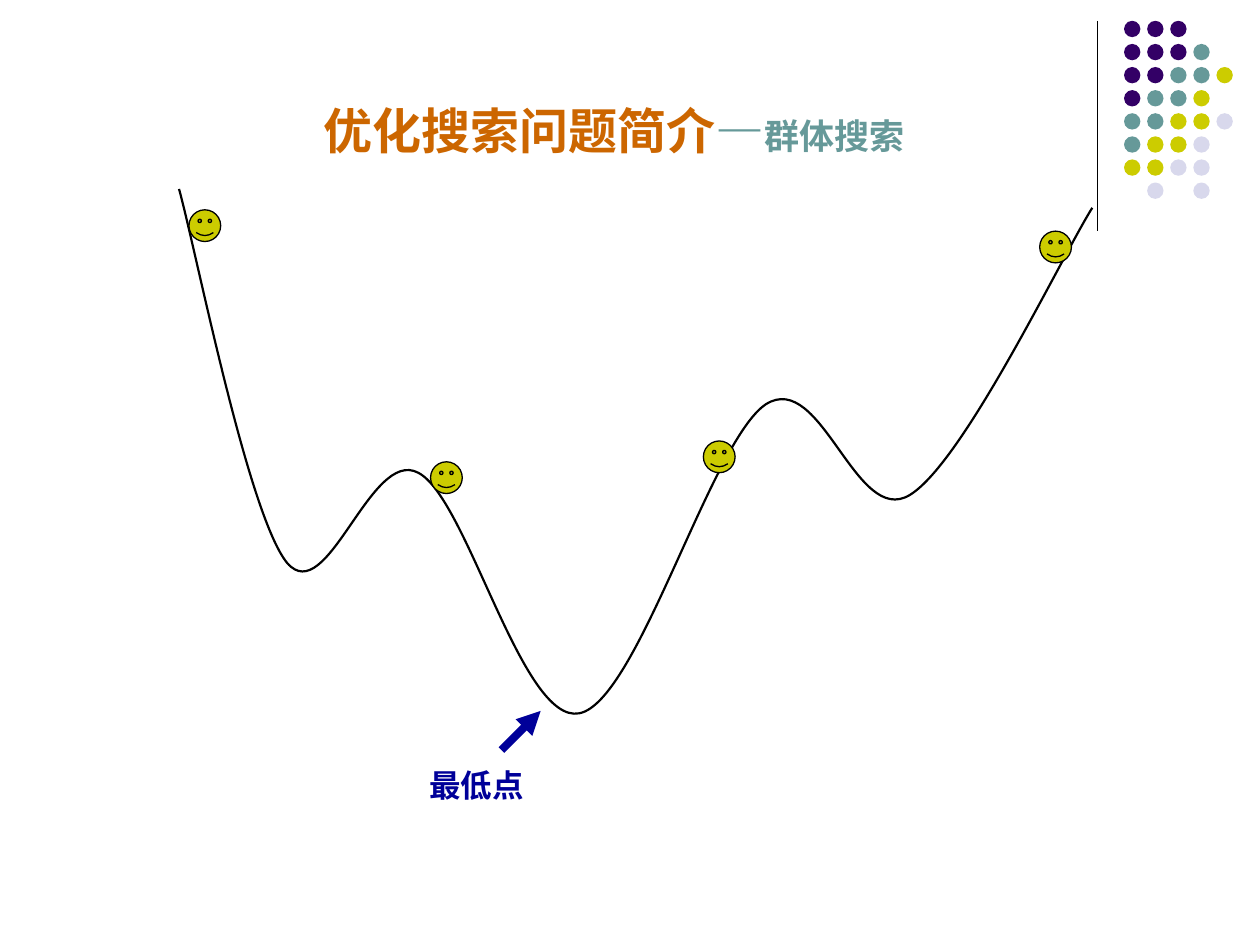
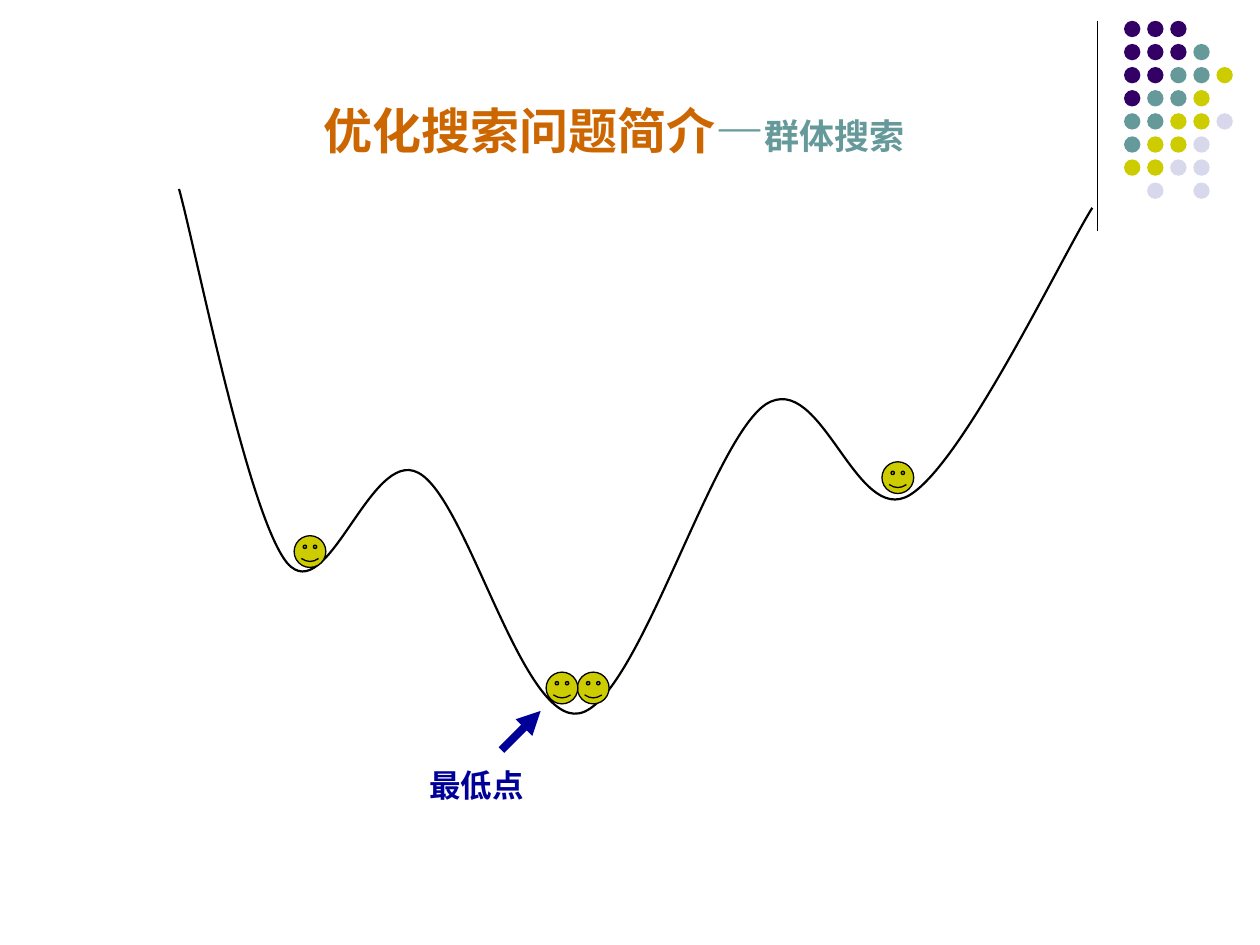
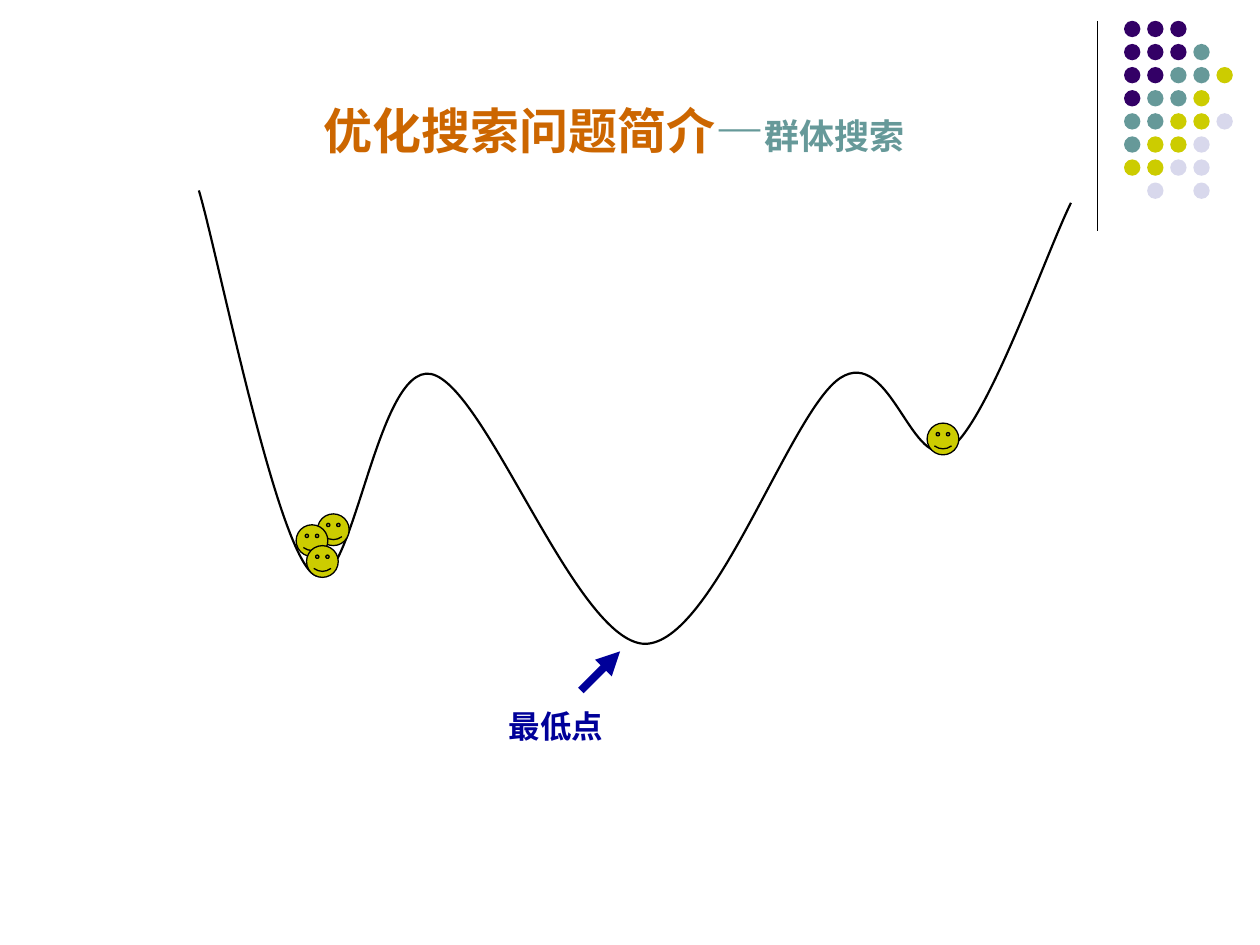
from dataclasses import dataclass

from lxml.etree import SubElement
from pptx import Presentation
from pptx.dml.color import RGBColor
from pptx.enum.shapes import MSO_CONNECTOR, MSO_SHAPE
from pptx.enum.text import MSO_AUTO_SIZE, PP_ALIGN
from pptx.oxml.ns import qn
from pptx.util import Cm, Pt


@dataclass(frozen=True)
class Theme:
    ink: str = "000000"
    title: str = "CC6600"
    teal: str = "669999"
    purple: str = "330066"
    yellow: str = "CCCC00"
    lavender: str = "D8D8EC"
    marker: str = "000099"
    title_font: str = "Times New Roman"
    label_font: str = "Arial"
    title_size: int = 28
    subtitle_size: int = 20
    label_size: int = 18
    thin_line: float = 0.75
    curve_line: float = 1.25
    arrow_line: float = 4.5


THEME = Theme()

DOT_ROWS = ["PPP", "PPPT", "PPTTY", "PTTY", "TTYYL", "TYYL", "YYLL", " L L"]
DOT_COLORS = {"P": THEME.purple, "T": THEME.teal, "Y": THEME.yellow, "L": THEME.lavender}
DOT_LEFT, DOT_TOP, DOT_SIZE = 22.66, 0.42, 0.33
DOT_PITCH = 3.26 / (len(DOT_ROWS) - 1)

FACE_SIZE = 0.64

# Each curve: a start point, then two control points and an end point per segment (cm).
DEEP_VALLEY = [
    (3.61, 3.81),
    (3.96, 5.08), (5, 10.39), (5.79, 11.35),
    (6.6, 12.29), (7.47, 9.02), (8.43, 9.53),
    (9.42, 10.03), (10.52, 14.61), (11.68, 14.38),
    (12.85, 14.15), (14.33, 8.89), (15.44, 8.15),
    (16.56, 7.44), (17.25, 10.64), (18.34, 9.98),
    (19.43, 9.32), (21.41, 5.16), (22.02, 4.19),
]
WIDE_VALLEY = [
    (4.01, 3.84),
    (4.39, 5.11), (5.54, 10.95), (6.3, 11.56),
    (7.09, 12.19), (7.57, 7.32), (8.69, 7.54),
    (9.8, 7.77), (11.61, 12.95), (13, 12.98),
    (14.38, 12.98), (15.93, 8.28), (16.94, 7.62),
    (17.96, 6.96), (18.39, 9.6), (19.18, 9.02),
    (19.94, 8.43), (21.08, 5.13), (21.59, 4.09),
]

# Curve, tip of the arrow at the lowest point, top left corners of the searchers.
SEARCH_STAGES = [
    (DEEP_VALLEY, (10.9, 14.33),
     [(20.96, 4.66), (14.18, 8.89), (3.81, 4.23), (8.68, 9.31)]),
    (DEEP_VALLEY, (10.9, 14.33),
     [(17.78, 9.31), (11.64, 13.55), (5.93, 10.8), (11.01, 13.55)]),
    (WIDE_VALLEY, (12.5, 13.13),
     [(18.69, 8.53), (6.4, 10.36), (5.97, 10.58), (6.18, 11)]),
]


def set_attributes(target, values):
    for name, value in values.items():
        setattr(target, name, value)


def set_line(line, color, width):
    line.color.rgb = RGBColor.from_string(color)
    line.width = Pt(width)


def add_filled_shape(shapes, kind, left, top, size, color):
    shape = shapes.add_shape(kind, Cm(left), Cm(top), Cm(size), Cm(size))
    shape.shadow.inherit = False
    shape.fill.solid()
    shape.fill.fore_color.rgb = RGBColor.from_string(color)
    return shape


def add_line(slide, start, end, color, width):
    points = [Cm(value) for value in (*start, *end)]
    connector = slide.shapes.add_connector(MSO_CONNECTOR.STRAIGHT, *points)
    set_line(connector.line, color, width)
    SubElement(connector._element.spPr, qn("a:effectLst"))
    return connector


def add_text(slide, left, top, width, height, runs):
    """Add a centred line of text; runs are (text, font, size, color)."""
    box = slide.shapes.add_textbox(Cm(left), Cm(top), Cm(width), Cm(height))
    set_attributes(box.text_frame, {
        "word_wrap": True,
        "auto_size": MSO_AUTO_SIZE.SHAPE_TO_FIT_TEXT,
    })
    paragraph = box.text_frame.paragraphs[0]
    paragraph.alignment = PP_ALIGN.CENTER
    for text, font, size, color in runs:
        run = paragraph.add_run()
        run.text = text
        set_attributes(run.font, {"name": font, "size": Pt(size), "bold": True})
        run.font.color.rgb = RGBColor.from_string(color)


def add_corner_dots(slide):
    group = slide.shapes.add_group_shape()
    for row, codes in enumerate(DOT_ROWS):
        for column, code in enumerate(codes):
            if code in DOT_COLORS:
                dot = add_filled_shape(
                    group.shapes, MSO_SHAPE.OVAL,
                    DOT_LEFT + column * DOT_PITCH, DOT_TOP + row * DOT_PITCH,
                    DOT_SIZE, DOT_COLORS[code])
                dot.line.fill.background()


def add_title(slide):
    add_text(slide, 5.5, 1.9, 13.76, 1.45, [
        ("优化搜索问题简介", THEME.title_font, THEME.title_size, THEME.title),
        ("—", THEME.title_font, THEME.title_size, THEME.teal),
        ("群体搜索", THEME.title_font, THEME.subtitle_size, THEME.teal),
    ])


def add_curve(slide, points):
    """Draw an open outline, then turn each three line steps into one Bézier step."""
    start, *steps = [(Cm(x), Cm(y)) for x, y in points]
    builder = slide.shapes.build_freeform(*start)
    builder.add_line_segments(steps, close=False)
    curve = builder.convert_to_shape()
    curve.shadow.inherit = False
    curve.fill.background()
    set_line(curve.line, THEME.ink, THEME.curve_line)

    outline = next(curve._element.iter(qn("a:path")))
    segments = outline.findall(qn("a:lnTo"))
    for first in range(0, len(segments), 3):
        bezier = SubElement(outline, qn("a:cubicBezTo"))
        for segment in segments[first:first + 3]:
            bezier.append(segment[0])
            outline.remove(segment)


def add_searcher(slide, left, top):
    face = add_filled_shape(slide.shapes, MSO_SHAPE.SMILEY_FACE, left, top, FACE_SIZE, THEME.yellow)
    face.adjustments[0] = 0.093
    set_line(face.line, THEME.ink, THEME.thin_line)


def add_lowest_point_marker(slide, tip):
    x, y = tip
    reach, label_width = 0.79, 2.59
    arrow = add_line(slide, (x - reach, y + reach), tip, THEME.marker, THEME.arrow_line)
    SubElement(arrow.line._get_or_add_ln(), qn("a:tailEnd"), type="triangle")
    add_text(slide, x - label_width, y + 0.99, label_width, 1.02, [
        ("最低点", THEME.label_font, THEME.label_size, THEME.marker),
    ])


def add_search_slide(presentation, curve, lowest_point, searchers):
    slide = presentation.slides.add_slide(presentation.slide_layouts[6])
    add_line(slide, (22.12, 0.42), (22.12, 4.66), THEME.ink, THEME.thin_line)
    add_corner_dots(slide)
    add_curve(slide, curve)
    for left, top in searchers:
        add_searcher(slide, left, top)
    add_title(slide)
    add_lowest_point_marker(slide, lowest_point)


def main():
    presentation = Presentation()
    set_attributes(presentation, {"slide_width": Cm(25.4), "slide_height": Cm(19.05)})
    for stage in SEARCH_STAGES:
        add_search_slide(presentation, *stage)
    presentation.save("out.pptx")


if __name__ == "__main__":
    main()
